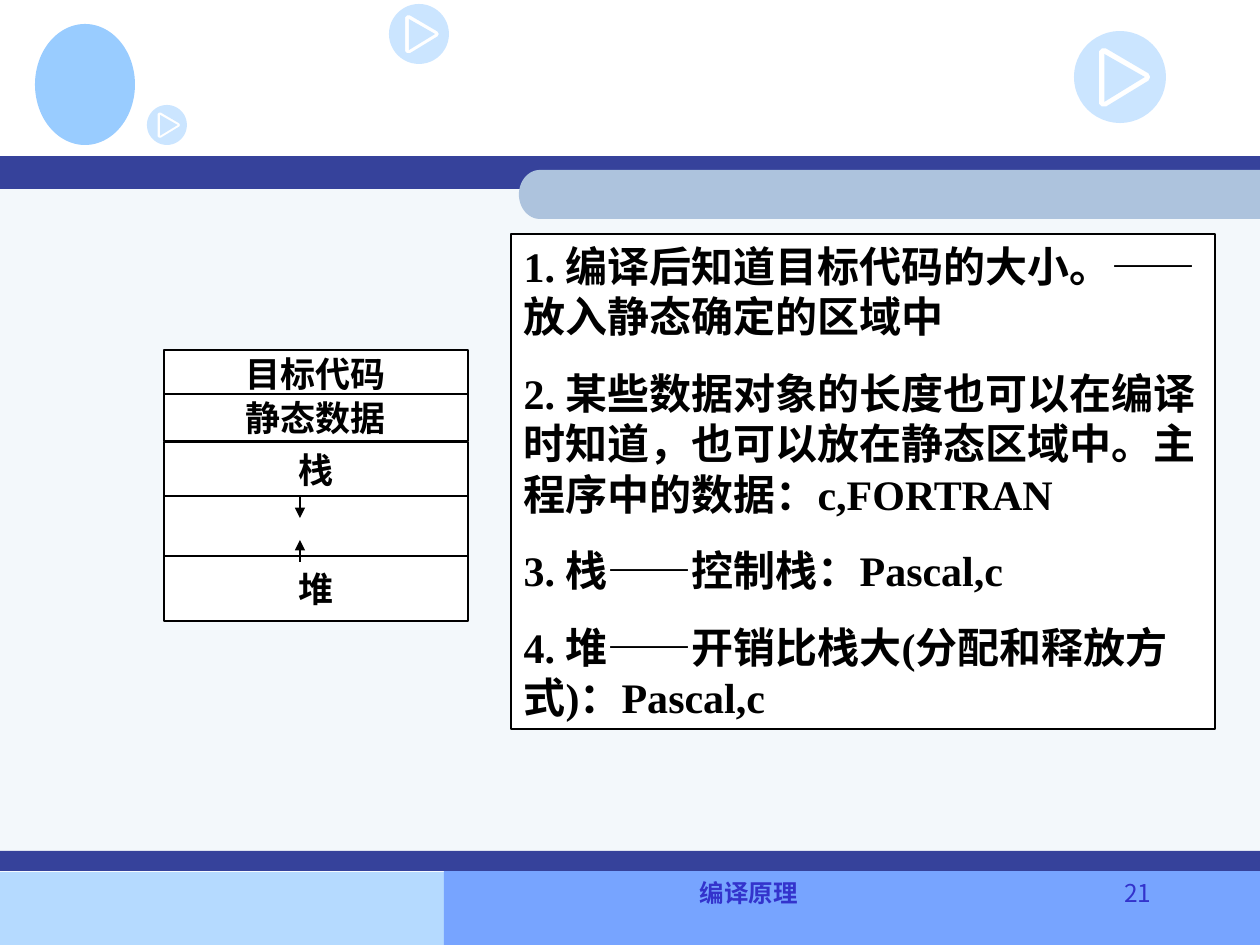
"""Build the slide on storage areas in a compiled program."""
from dataclasses import dataclass
from math import cos, pi, sin

from lxml import etree
from pptx import Presentation
from pptx.dml.color import RGBColor
from pptx.enum.shapes import MSO_CONNECTOR, MSO_SHAPE
from pptx.enum.text import MSO_ANCHOR, MSO_AUTO_SIZE, PP_ALIGN
from pptx.oxml.ns import qn
from pptx.util import Emu, Pt

RECT, OVAL = MSO_SHAPE.RECTANGLE, MSO_SHAPE.OVAL
STRAIGHT = MSO_CONNECTOR.STRAIGHT
MIDDLE, TOP = MSO_ANCHOR.MIDDLE, MSO_ANCHOR.TOP
LEFT, CENTER, RIGHT = PP_ALIGN.LEFT, PP_ALIGN.CENTER, PP_ALIGN.RIGHT
FIXED = MSO_AUTO_SIZE.NONE

BLACK = RGBColor(0x00, 0x00, 0x00)
WHITE = RGBColor(0xFF, 0xFF, 0xFF)
NAVY = RGBColor(0x36, 0x42, 0x9B)
BLUE = RGBColor(0x33, 0x33, 0xCC)
SKY = RGBColor(0x99, 0xCC, 0xFF)
PALE = RGBColor(0xF3, 0xF8, 0xFB)
STEEL = RGBColor(0xAD, 0xC3, 0xDD)
ICE = RGBColor(0xB5, 0xDA, 0xFF)
AZURE = RGBColor(0x77, 0xA4, 0xFF)

SCALE = 914400 / 126
SERIF, SANS = "Times New Roman", "Noto Sans CJK KR"

RIM = [(0.27, 0.22), (0.3, 0.19), (0.35, 0.19), (0.81, 0.46), (0.83, 0.5),
       (0.81, 0.54), (0.35, 0.82), (0.3, 0.82), (0.27, 0.79)]
CORE = [(0.33, 0.25), (0.77, 0.5), (0.33, 0.77)]


@dataclass
class Block:
    left: int
    top: int
    width: int
    height: int
    fill: RGBColor


@dataclass
class Cell:
    top: int
    height: int
    text: str


@dataclass
class Badge:
    left: int
    top: int
    size: int


@dataclass
class Arrow:
    start: int
    end: int


@dataclass
class Label:
    left: int
    width: int
    text: str
    align: PP_ALIGN
    bold: bool


BLOCKS = [
    Block(0, 872, 536, 73, ICE),
    Block(444, 871, 816, 74, AZURE),
    Block(0, 176, 1260, 695, PALE),
    Block(0, 156, 1260, 33, NAVY),
    Block(0, 851, 1260, 20, NAVY),
]
BADGES = [Badge(389, 4, 60), Badge(1074, 31, 92), Badge(147, 105, 40)]
CELLS = [
    Cell(350, 47, "目标代码"),
    Cell(394, 47, "静态数据"),
    Cell(442, 54, "栈"),
    Cell(496, 66, ""),
    Cell(556, 65, "堆"),
]
ARROWS = [Arrow(496, 518), Arrow(562, 540)]
LABELS = [
    Label(431, 636, "编译原理", CENTER, True),
    Label(1066, 98, "21", RIGHT, False),
]
NOTES = [
    "1. 编译后知道目标代码的大小。——放入静态确定的区域中",
    "2. 某些数据对象的长度也可以在编译时知道，也可以放在静态区域中。主程序中的数据：c,FORTRAN",
    "3. 栈——控制栈：Pascal,c",
    "4. 堆——开销比栈大(分配和释放方式)：Pascal,c",
]


def px(value: float) -> Emu:
    """Turn px into EMU."""
    return Emu(round(value * SCALE))


def style(part, size: int, face: str, color: RGBColor, bold: bool, align) -> None:
    """Set the font and alignment of a paragraph."""
    part.alignment = align
    part.font.size, part.font.name, part.font.bold = Pt(size), face, bold
    part.font.color.rgb = color


def paint(shape, fill: RGBColor, edge: RGBColor | None = None) -> None:
    """Set the fill and edge of a shape."""
    shape.fill.solid()
    shape.fill.fore_color.rgb = fill
    if edge is None:
        shape.line.fill.background()
    else:
        shape.line.color.rgb = edge
        shape.line.width = Pt(0.75)


def add_block(shapes, block: Block, kind=RECT, edge: RGBColor | None = None):
    """Draw a filled preset shape."""
    shape = shapes.add_shape(kind, px(block.left), px(block.top),
                             px(block.width), px(block.height))
    shape.shadow.inherit = False
    paint(shape, block.fill, edge)
    return shape


def arc(x: float, y: float, wide: float, high: float, start: float, end: float) -> list:
    """List points along an ellipse arc."""
    turns = [start + (end - start) * step / 48 for step in range(49)]
    return [(x + wide * cos(turn), y + high * sin(turn)) for turn in turns]


def add_form(shapes, rings: list, fill: RGBColor):
    """Draw one outline made of closed rings."""
    rings = [[(px(x), px(y)) for x, y in ring] for ring in rings]
    pen = shapes.build_freeform(*rings[0][0], scale=1.0)
    for ring in rings:
        pen.move_to(*ring[0])
        pen.add_line_segments(ring[1:], close=True)
    shape = pen.convert_to_shape()
    shape.shadow.inherit = False
    paint(shape, fill)
    return shape


def add_badge(shapes, badge: Badge) -> None:
    """Draw a half-clear disc with a play sign cut out."""
    rings = [[(badge.left + x * badge.size, badge.top + y * badge.size) for x, y in ring]
             for ring in (arc(0.5, 0.5, 0.5, 0.5, 0, 2 * pi), RIM, CORE)]
    shape = add_form(shapes, rings, SKY)
    color = shape.element.spPr.find(qn("a:solidFill"))[0]
    etree.SubElement(color, qn("a:alpha"), val="50000")


def add_cell(shapes, cell: Cell) -> None:
    """Draw one area of the memory stack."""
    shape = add_block(shapes, Block(164, cell.top, 304, cell.height, WHITE), edge=BLACK)
    if cell.text:
        frame = shape.text_frame
        frame.word_wrap, frame.vertical_anchor = False, MIDDLE
        frame.text = cell.text
        style(frame.paragraphs[0], 20, SERIF, BLACK, True, CENTER)


def add_arrow(shapes, arrow: Arrow) -> None:
    """Draw an upright arrow."""
    line = shapes.add_connector(STRAIGHT, px(300), px(arrow.start), px(300), px(arrow.end))
    line.line.color.rgb = BLACK
    line.line.width = Pt(1.5)
    props = line.element.spPr
    etree.SubElement(props.find(qn("a:ln")), qn("a:tailEnd"), type="triangle")
    etree.SubElement(props, qn("a:effectLst"))


def add_label(shapes, label: Label) -> None:
    """Write a footer label."""
    frame = shapes.add_textbox(px(label.left), px(872), px(label.width), px(63)).text_frame
    frame.word_wrap = True
    frame.text = label.text
    style(frame.paragraphs[0], 14, SANS, BLUE, label.bold, label.align)


def fill_notes(body) -> None:
    """Place and fill the list of notes."""
    body.left, body.top, body.width, body.height = px(511), px(234), px(704), px(495)
    paint(body, WHITE, BLACK)
    frame = body.text_frame
    frame.word_wrap, frame.auto_size, frame.vertical_anchor = True, FIXED, TOP
    frame.text = "\n".join(NOTES)
    for part in frame.paragraphs:
        style(part, 24, SERIF, BLACK, True, LEFT)
        part.space_before = Pt(15)
        props = part._p.get_or_add_pPr()
        props.set("marL", "0")
        props.set("indent", "0")
        props.find(qn("a:spcBef")).addnext(etree.Element(qn("a:buNone")))


def main() -> None:
    """Build and save the slide."""
    deck = Presentation()
    deck.slide_width, deck.slide_height = px(1260), px(945)
    slide = deck.slides.add_slide(deck.slide_layouts[1])
    shapes = slide.shapes
    title, body = slide.placeholders
    tree = body.element.getparent()
    tree.remove(title.element)
    for block in BLOCKS:
        add_block(shapes, block)
    add_form(shapes, [[(1260, 170), *arc(540, 194.5, 21, 24.5, 1.5 * pi, 0.5 * pi),
                       (1260, 219)]], STEEL)
    add_block(shapes, Block(35, 24, 100, 121, SKY), OVAL)
    for draw, items in ((add_badge, BADGES), (add_cell, CELLS), (add_arrow, ARROWS)):
        for item in items:
            draw(shapes, item)
    fill_notes(body)
    tree.append(body.element)
    for label in LABELS:
        add_label(shapes, label)
    deck.save("out.pptx")


if __name__ == "__main__":
    main()
